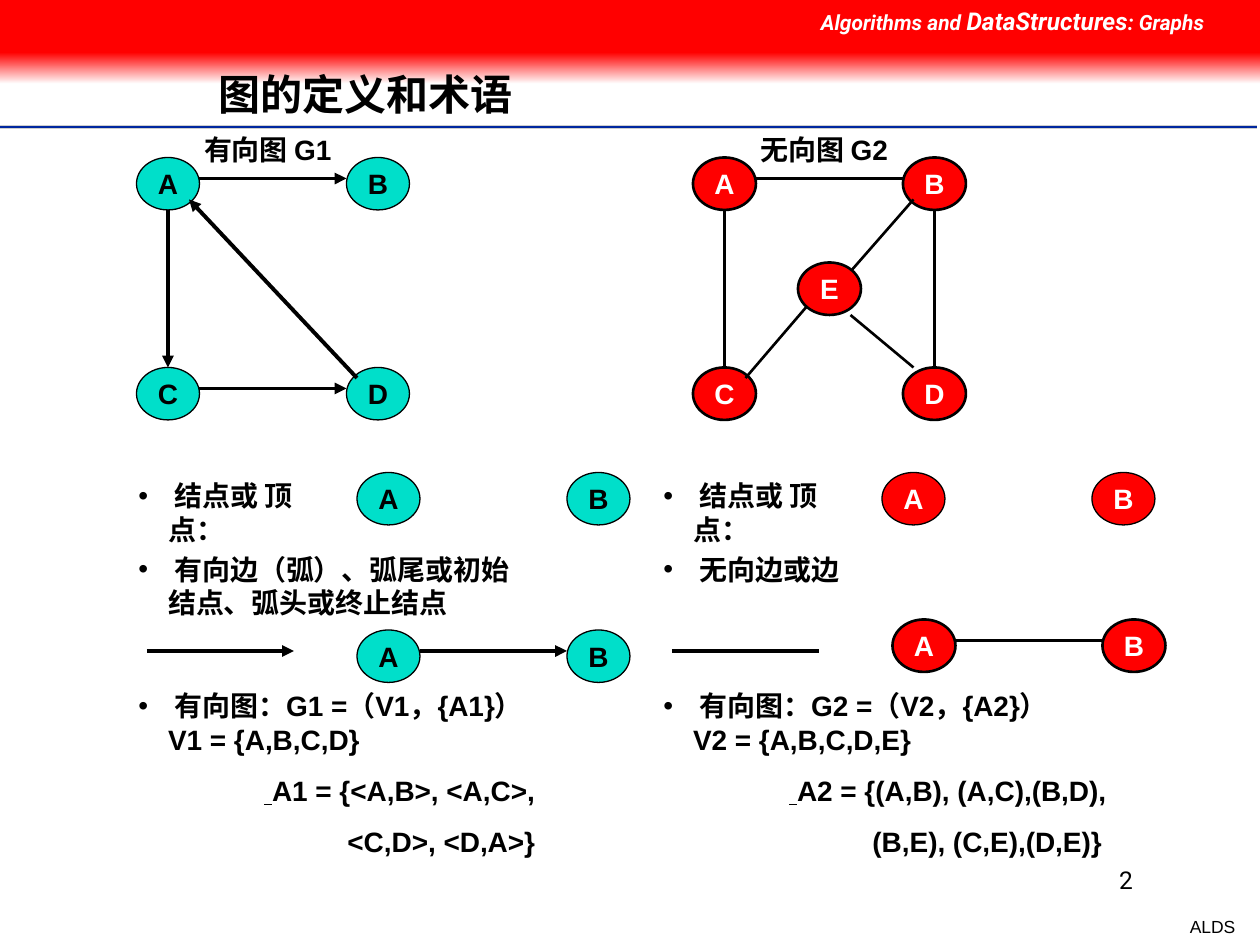
import pptx
import pptx.util
import pptx.dml.color
import pptx.enum.shapes
import pptx.enum.text
import pptx.oxml
import pptx.oxml.ns

Pt = pptx.util.Pt
SHAPE = pptx.enum.shapes.MSO_SHAPE
ALIGN = pptx.enum.text.PP_ALIGN
ANCHOR = pptx.enum.text.MSO_ANCHOR
COLORS = {"black": "000000", "white": "FFFFFF", "red": "FF0000",
          "teal": "00DFCA", "navy": "00279F", "gray": "CECECE"}
NODE_W, NODE_H, STEP = 36, 30, 120


def rgb(name):
    return pptx.dml.color.RGBColor.from_string(COLORS[name])


def add_xml(parent, tag, **attrs):
    el = pptx.oxml.parse_xml("<a:%s %s/>" % (tag, pptx.oxml.ns.nsdecls("a")))
    for key, value in attrs.items():
        el.set(key, str(value))
    parent.append(el)


def add_text(tf, text, size=16, color="black", font="Arial", bold=True, italic=False,
             underline=False, align=ALIGN.LEFT, before=0, spacing=None,
             left=0, bullet=False, p=None):
    """Add a run to p, or start a new paragraph when p is None."""
    if p is None:
        p = tf.paragraphs[0] if not tf.paragraphs[0].runs else tf.add_paragraph()
        p.alignment = align
        p.space_before = Pt(before)
        p.line_spacing = spacing
        pPr = p._p.get_or_add_pPr()
        pPr.set("marL", str(Pt(left)))
        pPr.set("indent", str(Pt(-left if bullet else 0)))
        if bullet:
            add_xml(pPr, "buFont", typeface=font)
            add_xml(pPr, "buChar", char="•")
    for i, part in enumerate(text.split("\n")):
        if i:
            p.add_line_break()
        r = p.add_run()
        r.text = part
        r.font.size, r.font.name = Pt(size), font
        r.font.bold, r.font.italic, r.font.underline = bold, italic, underline
        r.font.color.rgb = rgb(color)
    return p


def text_box(s, x, y, w, h, wrap=True):
    tf = s.shapes.add_textbox(Pt(x), Pt(y), Pt(w), Pt(h)).text_frame
    tf.word_wrap = wrap
    return tf


def add_line(s, x1, y1, x2, y2, width, color="black", arrow=False):
    sp = s.shapes.add_connector(pptx.enum.shapes.MSO_CONNECTOR.STRAIGHT,
                                Pt(x1), Pt(y1), Pt(x2), Pt(y2))
    sp.line.width = Pt(width)
    sp.line.color.rgb = rgb(color)
    if arrow:
        add_xml(sp.line._get_or_add_ln(), "tailEnd", type="triangle")
    add_xml(sp._element.spPr, "effectLst")


def add_node(s, name, x, y, style, border):
    sp = s.shapes.add_shape(SHAPE.OVAL, Pt(x), Pt(y), Pt(NODE_W), Pt(NODE_H))
    sp.shadow.inherit = False
    sp.fill.solid()
    sp.fill.fore_color.rgb = rgb(style["fill"])
    sp.line.color.rgb = rgb("black")
    sp.line.width = Pt(border)
    tf = sp.text_frame
    tf.word_wrap = False
    tf.vertical_anchor = ANCHOR.MIDDLE
    add_text(tf, name, color=style["text"], align=ALIGN.CENTER)


def add_pair(s, x, y, style, border):
    for i, name in enumerate("AB"):
        add_node(s, name, x + i * STEP, y, style, border)


def header(s, w):
    # Rules under the title
    for y, width, color in [(72.72, 2, "gray"), (72.72, 1, "navy"), (74.16, 1, "white")]:
        add_line(s, 0, y, w - 1.5, y, width, color)
    # Red band fading to white
    for y, h, fade in [(30, 18, True), (0, 30, False)]:
        sp = s.shapes.add_shape(SHAPE.RECTANGLE, 0, Pt(y), Pt(w), Pt(h))
        sp.shadow.inherit = False
        sp.line.fill.background()
        if fade:
            sp.fill.gradient()
            sp.fill.gradient_angle = 270
            for stop, color in zip(sp.fill.gradient_stops, ("red", "white")):
                stop.color.rgb = rgb(color)
        else:
            sp.fill.solid()
            sp.fill.fore_color.rgb = rgb("red")
    # Course name
    tf = text_box(s, w - 258, 0, 258, 24)
    p = None
    for text, size in [("Algorithms and ", 12), ("DataStructures", 14), (": Graphs", 12)]:
        p = add_text(tf, text, size, "white", "Roboto", italic=True, before=7.5, p=p)
    # Title
    tf = text_box(s, 125, 29, 564, 53)
    tf.margin_left = tf.margin_right = tf.margin_top = tf.margin_bottom = 0
    tf.vertical_anchor = ANCHOR.MIDDLE
    add_text(tf, "图的定义和术语", 24, spacing=0.9)


def footer(s, x, y):
    add_text(text_box(s, x + 156, y + 29.5, 41, 19.5, wrap=False), "ALDS", 10,
             bold=False, align=ALIGN.RIGHT, before=6.2)
    add_text(text_box(s, x, y, 138.5, 36), "2", 14, font="Roboto", bold=False,
             align=ALIGN.RIGHT)


def graph(s, x, y, g):
    style = g["style"]

    def place(nodes):
        for name, col, row in nodes:
            add_node(s, name, x + col * STEP, y + row * STEP, style, style["border"])

    place(CORNERS)
    for x1, y1, x2, y2 in g["edges"]:
        add_line(s, x + x1, y + y1, x + x2, y + y2, style["edge"], arrow=style["arrow"])
    # The hub covers the ends of its edges
    place(g["hub"])
    add_text(text_box(s, x + 12, y - 18, 126, 27), g["caption"], align=ALIGN.CENTER, before=10)


def notes(s, x, y, g):
    style = g["style"]
    # Vertices and edge terms
    for dy, w, right, text in [(0, 126, 16, " 结点或 顶点："), (42, 240, 7.2, g["edge_terms"])]:
        tf = text_box(s, x, y + dy, w, 27)
        tf.margin_right = Pt(right)
        add_text(tf, text, before=10, left=17, bullet=True)
    add_pair(s, x + 132, y, style, 0.75)
    # Sample edges
    add_line(s, x + 12, y + 102, x + 96, y + 102, 2.25, arrow=style["arrow"])
    dx, dy = g["pair"]
    add_pair(s, x + dx, y + dy, style, style["border"])
    add_line(s, x + dx + NODE_W, y + dy + 12, x + dx + STEP, y + dy + 12, style["edge"],
             arrow=style["arrow"])
    # Formal definition
    tf = text_box(s, x, y + 120, 294, 104)
    add_text(tf, g["definition"], before=10, left=17, bullet=True)
    p = add_text(tf, " ", underline=True, before=10, left=72)
    add_text(tf, g["arcs"][0], p=p)
    add_text(tf, g["arcs"][1], before=10, left=119.5)


CORNERS = [("A", 0, 0), ("B", 1, 0), ("C", 0, 1), ("D", 1, 1)]
DIRECTED = {
    "style": {"fill": "teal", "text": "black", "border": 0.75, "edge": 2.25, "arrow": True},
    "caption": "有向图 G1",
    "hub": [],
    "edges": [(36, 12, 120, 12), (36, 132, 120, 132), (18, 30, 18, 120), (126, 126, 30, 24)],
    "edge_terms": " 有向边（弧）、弧尾或初始结点、弧头或终止结点",
    "pair": (132, 90),
    "definition": " 有向图：G1 =（V1，{A1}）\nV1 = {A,B,C,D}",
    "arcs": ("A1 = {<A,B>, <A,C>,", "<C,D>, <D,A>}"),
}
UNDIRECTED = {
    "style": {"fill": "red", "text": "white", "border": 1.5, "edge": 1.5, "arrow": False},
    "caption": "无向图 G2",
    "hub": [("E", 0.5, 0.5)],
    "edges": [(36, 12, 120, 12), (84, 72, 126, 24), (18, 30, 18, 120),
              (138, 30, 138, 120), (30, 126, 66, 84), (126, 120, 90, 90)],
    "edge_terms": " 无向边或边",
    "pair": (138, 84),
    "definition": " 有向图：G2 =（V2，{A2}）\nV2 = {A,B,C,D,E}",
    "arcs": ("A2 = {(A,B), (A,C),(B,D),", "(B,E), (C,E),(D,E)}"),
}

prs = pptx.Presentation()
prs.slide_width, prs.slide_height = Pt(720), Pt(540)
s = prs.slides.add_slide(prs.slide_layouts[6])
header(s, 720)
footer(s, 516, 490.5)
for g, graph_x, notes_x in [(DIRECTED, 78, 72), (UNDIRECTED, 396, 372)]:
    graph(s, graph_x, 90, g)
    notes(s, notes_x, 270, g)
prs.save("out.pptx")
